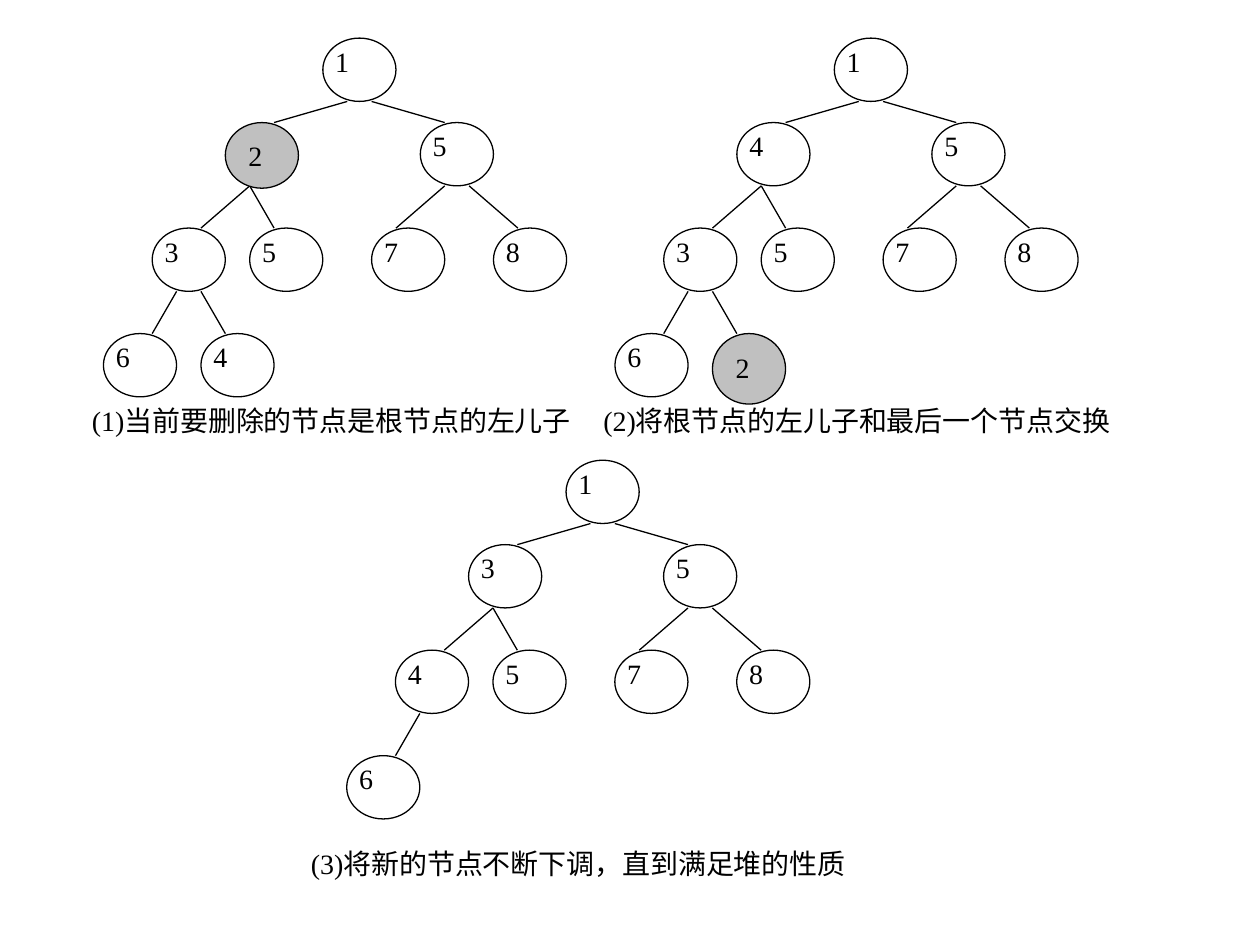
from lxml import etree
from pptx import Presentation
from pptx.dml.color import RGBColor
from pptx.enum.shapes import MSO_CONNECTOR, MSO_SHAPE
from pptx.enum.text import MSO_ANCHOR, PP_ALIGN
from pptx.oxml.ns import qn
from pptx.util import Pt

OVAL = MSO_SHAPE.OVAL
STRAIGHT = MSO_CONNECTOR.STRAIGHT
JUSTIFY = PP_ALIGN.JUSTIFY
TOP = MSO_ANCHOR.TOP

BLACK = RGBColor(0, 0, 0)
WHITE = RGBColor(255, 255, 255)
GREY = RGBColor(192, 192, 192)
FONT = "Times New Roman"

# Keys in level order; "marked" is the index of the node being deleted
TREES = [
    {"root": (184.5, 21.8), "keys": "12535786" + "4", "marked": 1, "marked_height": 37.5,
     "caption": "(1)当前要删除的节点是根节点的左儿子", "caption_box": (45.4, 226.8, 306)},
    {"root": (476.8, 21.8), "keys": "14535786" + "2", "marked": 8, "marked_height": 40.3,
     "caption": "(2)将根节点的左儿子和最后一个节点交换", "caption_box": (337.7, 226.8, 320.4)},
    {"root": (323.5, 263), "keys": "13545786", "marked": None, "marked_height": None,
     "caption": "(3)将新的节点不断下调，直到满足堆的性质", "caption_box": (170.6, 480.2, 347.8)},
]
CAPTION_HEIGHT = 36

# Node positions relative to the root, in grid steps
STEP_X, STEP_Y = 13.93, 12.06
NODE_SPAN, LABEL_SPAN = 3, 4
SLOTS = [(0, 0), (-4, 4), (4, 4), (-7, 9), (-3, 9), (2, 9), (7, 9), (-9, 14), (-5, 14)]

# (parent, child, steps from parent's left edge, steps from child's left edge)
EDGES = [(0, 1, 1, 2), (0, 2, 2, 1), (1, 3, 1, 2), (1, 4, 1, 1),
         (2, 5, 1, 1), (2, 6, 2, 1), (3, 7, 1, 2), (3, 8, 2, 1)]


def write_text(shape, text):
    frame = shape.text_frame
    frame.word_wrap = True
    frame.vertical_anchor = TOP
    paragraph = frame.paragraphs[0]
    paragraph.alignment = JUSTIFY
    run = paragraph.add_run()
    run.text = text
    run.font.name = FONT
    run.font.size = Pt(16)
    run.font.color.rgb = BLACK


def add_text(slide, text, left, top, width, height):
    box = slide.shapes.add_textbox(Pt(left), Pt(top), Pt(width), Pt(height))
    write_text(box, text)


def add_edge(slide, x1, y1, x2, y2):
    line = slide.shapes.add_connector(STRAIGHT, Pt(x1), Pt(y1), Pt(x2), Pt(y2))
    line.line.color.rgb = BLACK
    line.line.width = Pt(0.75)
    etree.SubElement(line._element.spPr, qn("a:effectLst"))


def add_oval(slide, left, top, height, color):
    oval = slide.shapes.add_shape(OVAL, Pt(left), Pt(top), Pt(NODE_SPAN * STEP_X), Pt(height))
    oval.shadow.inherit = False
    oval.fill.solid()
    oval.fill.fore_color.rgb = color
    oval.line.color.rgb = BLACK
    oval.line.width = Pt(0.75)
    return oval


def add_tree(slide, tree):
    root_x, root_y = tree["root"]
    keys = tree["keys"]
    places = [(root_x + column * STEP_X, root_y + row * STEP_Y) for column, row in SLOTS]

    for parent, child, start, end in EDGES:
        if child < len(keys):
            parent_x, parent_y = places[parent]
            child_x, child_y = places[child]
            add_edge(slide, parent_x + start * STEP_X, parent_y + NODE_SPAN * STEP_Y,
                     child_x + end * STEP_X, child_y)

    for index, (key, (left, top)) in enumerate(zip(keys, places)):
        if index == tree["marked"]:
            write_text(add_oval(slide, left, top, tree["marked_height"], GREY), key)
        else:
            add_oval(slide, left, top, NODE_SPAN * STEP_Y, WHITE)
            add_text(slide, key, left, top, LABEL_SPAN * STEP_X, LABEL_SPAN * STEP_Y)

    add_text(slide, tree["caption"], *tree["caption_box"], CAPTION_HEIGHT)


def main():
    presentation = Presentation()
    presentation.slide_width, presentation.slide_height = Pt(720), Pt(540)
    slide = presentation.slides.add_slide(presentation.slide_layouts[6])
    for tree in TREES:
        add_tree(slide, tree)
    presentation.save("out.pptx")


if __name__ == "__main__":
    main()
